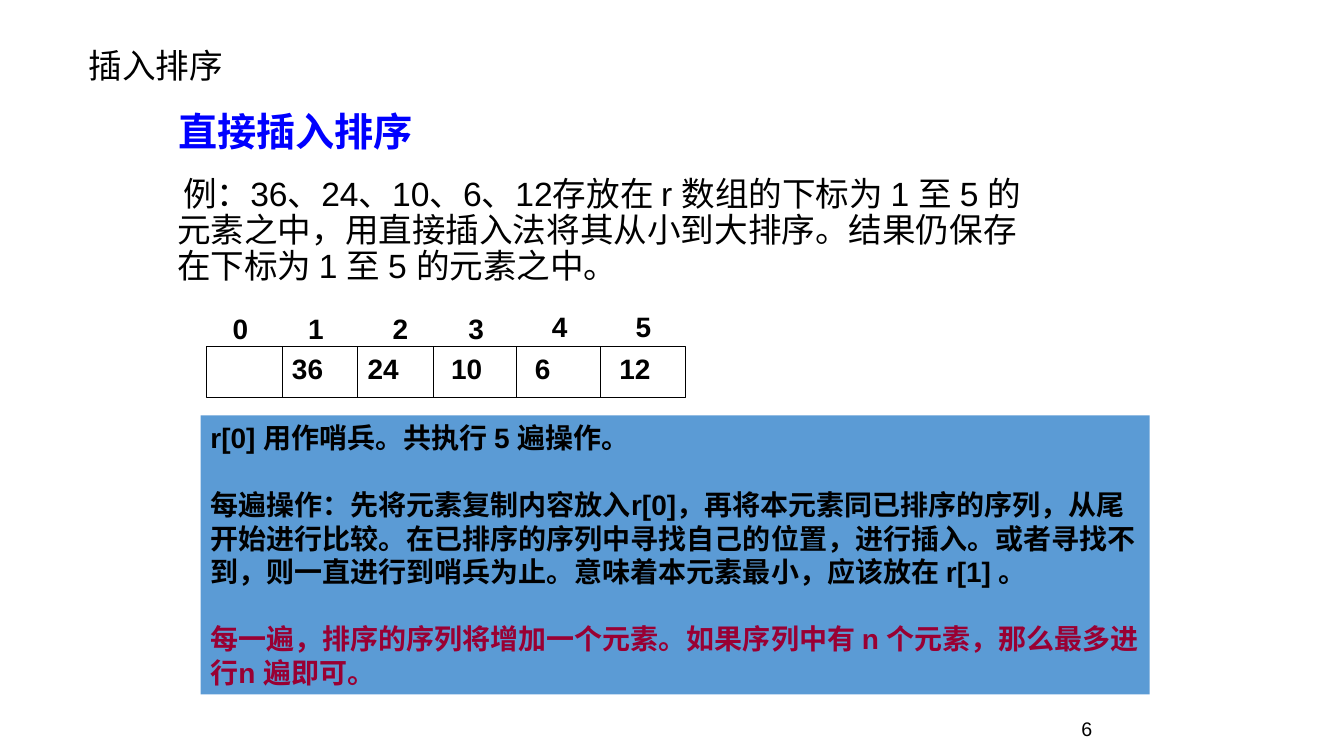
from dataclasses import dataclass

from lxml.etree import SubElement
from pptx import Presentation
from pptx.dml.color import RGBColor
from pptx.enum.shapes import MSO_CONNECTOR, MSO_SHAPE
from pptx.enum.text import MSO_ANCHOR, PP_ALIGN
from pptx.oxml.ns import qn
from pptx.util import Inches, Pt


@dataclass(frozen=True)
class Theme:
    black: str = "000000"
    white: str = "FFFFFF"
    heading: str = "0000FF"
    panel: str = "5B9BD5"
    accent: str = "990033"
    latin: str = "Arial"
    title_font: str = "Calibri"
    chinese: str = "Noto Sans CJK SC"
    heading_size: int = 28
    body_size: int = 24
    panel_size: int = 20
    number_size: int = 14
    line_width: float = 0.75


class SlideBuilder:
    def __init__(self, slide, theme):
        self.slide = slide
        self.theme = theme

    def style(self, paragraph, size, color=None, bold=False, font=None):
        paragraph.font.size = Pt(size)
        paragraph.font.bold = bold
        paragraph.font.name = font or self.theme.latin
        paragraph.font.color.rgb = RGBColor.from_string(color or self.theme.black)
        properties = paragraph._p.get_or_add_pPr().find(qn("a:defRPr"))
        SubElement(properties, qn("a:ea"), typeface=self.theme.chinese)

    def text(self, words, left, top, width, height, size,
             anchor=MSO_ANCHOR.TOP, align=PP_ALIGN.LEFT, **style):
        box = self.slide.shapes.add_textbox(
            Inches(left), Inches(top), Inches(width), Inches(height))
        box.text_frame.word_wrap = True
        box.text_frame.vertical_anchor = anchor
        paragraph = box.text_frame.paragraphs[0]
        paragraph.text = words
        paragraph.alignment = align
        self.style(paragraph, size, **style)
        return paragraph

    def rectangle(self, left, top, width, height, fill, line=None):
        shape = self.slide.shapes.add_shape(
            MSO_SHAPE.RECTANGLE, Inches(left), Inches(top), Inches(width), Inches(height))
        shape.shadow.inherit = False
        shape.fill.solid()
        shape.fill.fore_color.rgb = RGBColor.from_string(fill)
        if line:
            shape.line.color.rgb = RGBColor.from_string(line)
            shape.line.width = Pt(self.theme.line_width)
        else:
            shape.line.fill.background()
        return shape

    def panel(self, paragraphs, left, top, width, height, gap):
        shape = self.rectangle(left, top, width, height, self.theme.panel)
        frame = shape.text_frame
        frame.word_wrap = True
        frame.vertical_anchor = MSO_ANCHOR.TOP
        for index, (words, color) in enumerate(paragraphs):
            paragraph = frame.add_paragraph() if index else frame.paragraphs[0]
            paragraph.text = words
            paragraph.alignment = PP_ALIGN.LEFT
            if index:
                paragraph.space_before = Pt(gap)
            self.style(paragraph, self.theme.panel_size, color, bold=True)

    def divider(self, x, top, bottom):
        connector = self.slide.shapes.add_connector(
            MSO_CONNECTOR.STRAIGHT, Inches(x), Inches(top), Inches(x), Inches(bottom))
        connector.line.color.rgb = RGBColor.from_string(self.theme.black)
        connector.line.width = Pt(self.theme.line_width)
        SubElement(connector._element.spPr, qn("a:effectLst"))

    def array(self, cells, edges, top, height):
        theme = self.theme
        self.rectangle(edges[0], top, edges[-1] - edges[0], height, theme.white, theme.black)
        for x in edges[1:-1]:
            self.divider(x, top, top + height)
        for index, (value, value_left, label_left, label_top) in enumerate(cells):
            self.text(str(index), label_left, label_top, 0.33, 0.44,
                      theme.panel_size, bold=True)
            if value:
                self.text(value, value_left, top, 0.67, 0.44, theme.panel_size, bold=True)


def main():
    theme = Theme()
    presentation = Presentation()
    presentation.slide_width = Inches(13.34)
    presentation.slide_height = Inches(7.5)
    slide = presentation.slides.add_slide(presentation.slide_layouts[6])
    builder = SlideBuilder(slide, theme)

    builder.text("6", 8.86, 6.9, 2.08, 0.5, theme.number_size,
                 anchor=MSO_ANCHOR.BOTTOM, align=PP_ALIGN.RIGHT)
    builder.panel([
        ("r[0] 用作哨兵。共执行 5 遍操作。", theme.black),
        ("每遍操作：先将元素复制内容放入r[0]，再将本元素同已排序的序列，从尾开始进行比较。"
         "在已排序的序列中寻找自己的位置，进行插入。或者寻找不到，则一直进行到哨兵为止。"
         "意味着本元素最小，应该放在 r[1] 。", theme.black),
        ("每一遍，排序的序列将增加一个元素。如果序列中有 n 个元素，那么最多进行n 遍即可。",
         theme.accent),
    ], 1.99, 4.12, 9.42, 2.77, gap=24)
    builder.text("插入排序", 0.78, 0.28, 7.55, 0.74, theme.body_size,
                 anchor=MSO_ANCHOR.MIDDLE, font=theme.title_font)
    example = builder.text(
        "例：36、24、10、6、12存放在 r 数组的下标为 1 至 5 的元素之中，"
        "用直接插入法将其从小到大排序。结果仍保存在下标为 1 至 5 的元素之中。",
        0.73, 1.71, 9.62, 1.18, theme.body_size)
    example.line_spacing = 0.9
    properties = example._p.get_or_add_pPr()
    properties.set("marL", str(Inches(0.93)))
    properties.set("indent", str(Inches(0.06)))
    builder.text("直接插入排序", 1.67, 1.02, 4.29, 0.57, theme.heading_size,
                 color=theme.heading, bold=True, font=theme.chinese)
    builder.array([
        ("", 2.05, 2.21, 3.04),
        ("36", 2.8, 2.96, 3.04),
        ("24", 3.55, 3.8, 3.04),
        ("10", 4.38, 4.55, 3.04),
        ("6", 5.21, 5.38, 3.02),
        ("12", 6.05, 6.21, 3.02),
    ], edges=[2.05, 2.8, 3.55, 4.3, 5.13, 5.96, 6.8], top=3.44, height=0.5)

    presentation.save("out.pptx")


if __name__ == "__main__":
    main()
